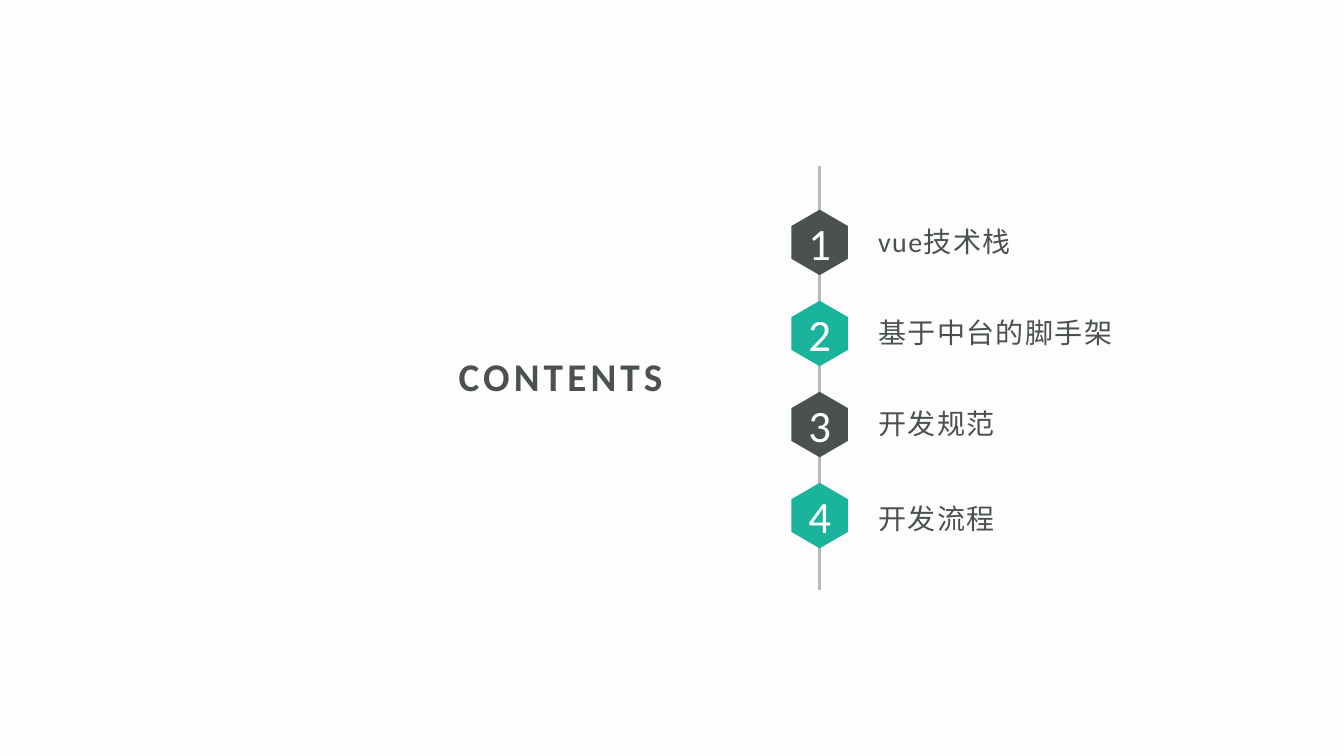
from lxml.etree import SubElement
from pptx import Presentation
from pptx.dml.color import RGBColor
from pptx.enum.shapes import MSO_CONNECTOR
from pptx.enum.text import MSO_ANCHOR, PP_ALIGN
from pptx.oxml.ns import qn
from pptx.util import Inches, Pt

BACKGROUND = RGBColor(0xFD, 0xFD, 0xFD)
DARK = RGBColor(0x4B, 0x50, 0x50)
TEAL = RGBColor(0x19, 0xB4, 0x9B)
GREY = RGBColor(0xB6, 0xBA, 0xBA)
WHITE = RGBColor(0xFF, 0xFF, 0xFF)
FONT = "Calibri"

# Grid of the contents list, in inches
SLIDE_WIDTH, SLIDE_HEIGHT = 13.33, 7.5
AXIS_X, AXIS_TOP, AXIS_BOTTOM = 8.13, 1.65, 5.85
FIRST_ROW, ROW_PITCH = 2.08, 0.9033
HEXAGON_WIDTH, HEXAGON_HEIGHT = 0.56, 0.65
LABEL_LEFT, LABEL_HEIGHT = 8.51, 0.59

# Hexagon corners as shares of its width and height
HEXAGON = [(0.5, 0), (1, 0.25), (1, 0.75), (0.5, 1), (0, 0.75), (0, 0.25)]

# Label and its drop below the top of the hexagon
CHAPTERS = [
    ("vue技术栈", 0.02),
    ("基于中台的脚手架", 0.02),
    ("开发规范", 0.02),
    ("开发流程", 0.06),
]


def write_text(shape, text, size, color, bold=False, align=PP_ALIGN.LEFT,
               spacing=0, left_inset=0.1, wrap=True):
    frame = shape.text_frame
    frame.word_wrap = wrap
    frame.vertical_anchor = MSO_ANCHOR.MIDDLE
    frame.margin_left = Inches(left_inset)
    paragraph = frame.paragraphs[0]
    paragraph.alignment = align
    run = paragraph.add_run()
    run.text = text
    run.font.name = FONT
    run.font.size = Pt(size)
    run.font.bold = bold
    run.font.color.rgb = color
    if spacing:
        run._r.get_or_add_rPr().set("spc", str(spacing * 100))


def add_text(slide, text, left, top, width, height, **text_format):
    box = slide.shapes.add_textbox(
        Inches(left), Inches(top), Inches(width), Inches(height))
    write_text(box, text, **text_format)


def add_axis(slide):
    axis = slide.shapes.add_connector(
        MSO_CONNECTOR.STRAIGHT, Inches(AXIS_X), Inches(AXIS_TOP),
        Inches(AXIS_X), Inches(AXIS_BOTTOM))
    axis.line.color.rgb = GREY
    axis.line.width = Pt(2)
    SubElement(axis._element.spPr, qn("a:effectLst"))


def add_hexagon(slide, number, top, color):
    left = AXIS_X - HEXAGON_WIDTH / 2
    corners = [(Inches(left + x * HEXAGON_WIDTH), Inches(top + y * HEXAGON_HEIGHT))
               for x, y in HEXAGON]
    builder = slide.shapes.build_freeform(*corners[0])
    builder.add_line_segments(corners[1:], close=True)
    hexagon = builder.convert_to_shape()
    hexagon.shadow.inherit = False
    hexagon.fill.solid()
    hexagon.fill.fore_color.rgb = color
    hexagon.line.fill.background()
    write_text(hexagon, str(number), size=32, color=WHITE, align=PP_ALIGN.CENTER)


def add_chapter(slide, index, label, drop):
    top = FIRST_ROW + index * ROW_PITCH
    add_text(slide, label, LABEL_LEFT, top + drop,
             SLIDE_WIDTH - LABEL_LEFT, LABEL_HEIGHT,
             size=20, color=DARK, spacing=1, left_inset=0.2)
    add_hexagon(slide, index + 1, top, TEAL if index % 2 else DARK)


def main():
    presentation = Presentation()
    presentation.slide_width = Inches(SLIDE_WIDTH)
    presentation.slide_height = Inches(SLIDE_HEIGHT)
    slide = presentation.slides.add_slide(presentation.slide_layouts[6])
    slide.background.fill.solid()
    slide.background.fill.fore_color.rgb = BACKGROUND

    # Numbered chapters along the vertical axis
    add_axis(slide)
    for index, (label, drop) in enumerate(CHAPTERS):
        add_chapter(slide, index, label, drop)

    # Heading to the left of the list
    add_text(slide, "CONTENTS", 3.65, 3.3, 3.82, 0.86, size=28, color=DARK,
             bold=True, align=PP_ALIGN.CENTER, spacing=3, wrap=False)

    presentation.save("out.pptx")


if __name__ == "__main__":
    main()
